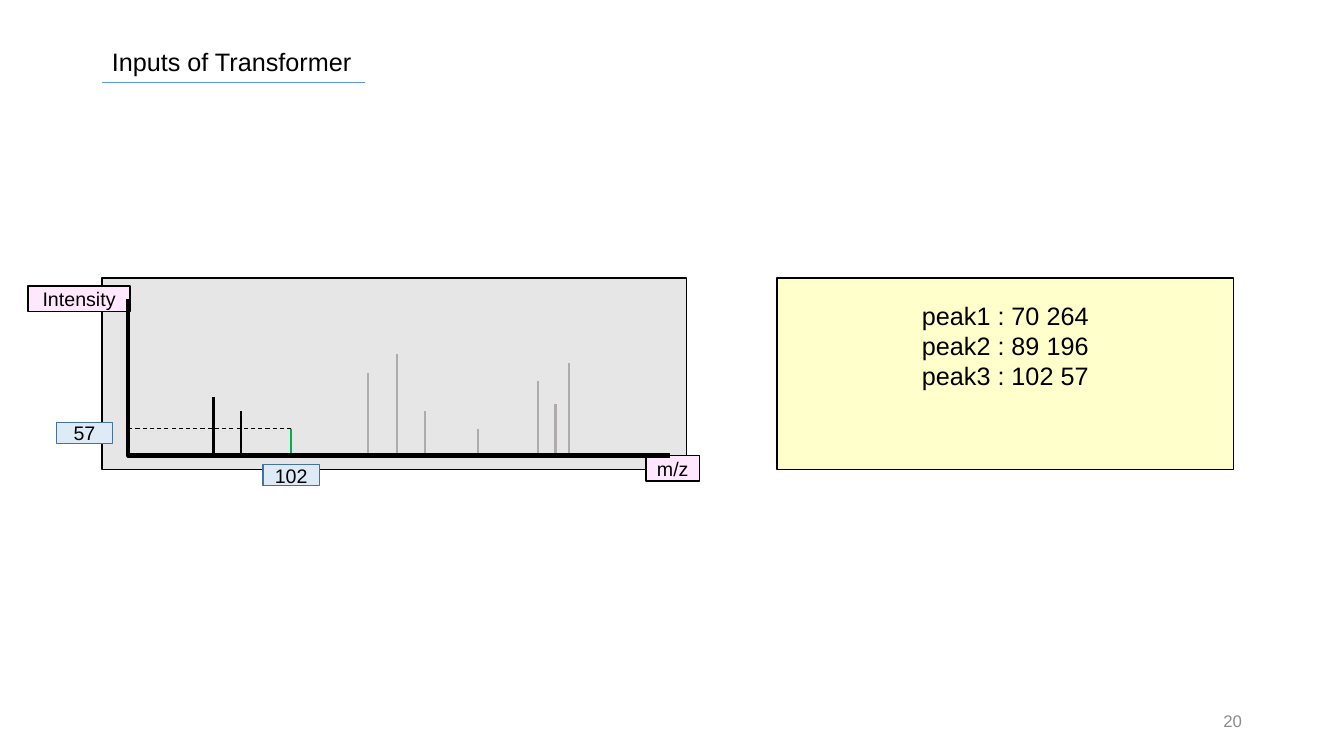
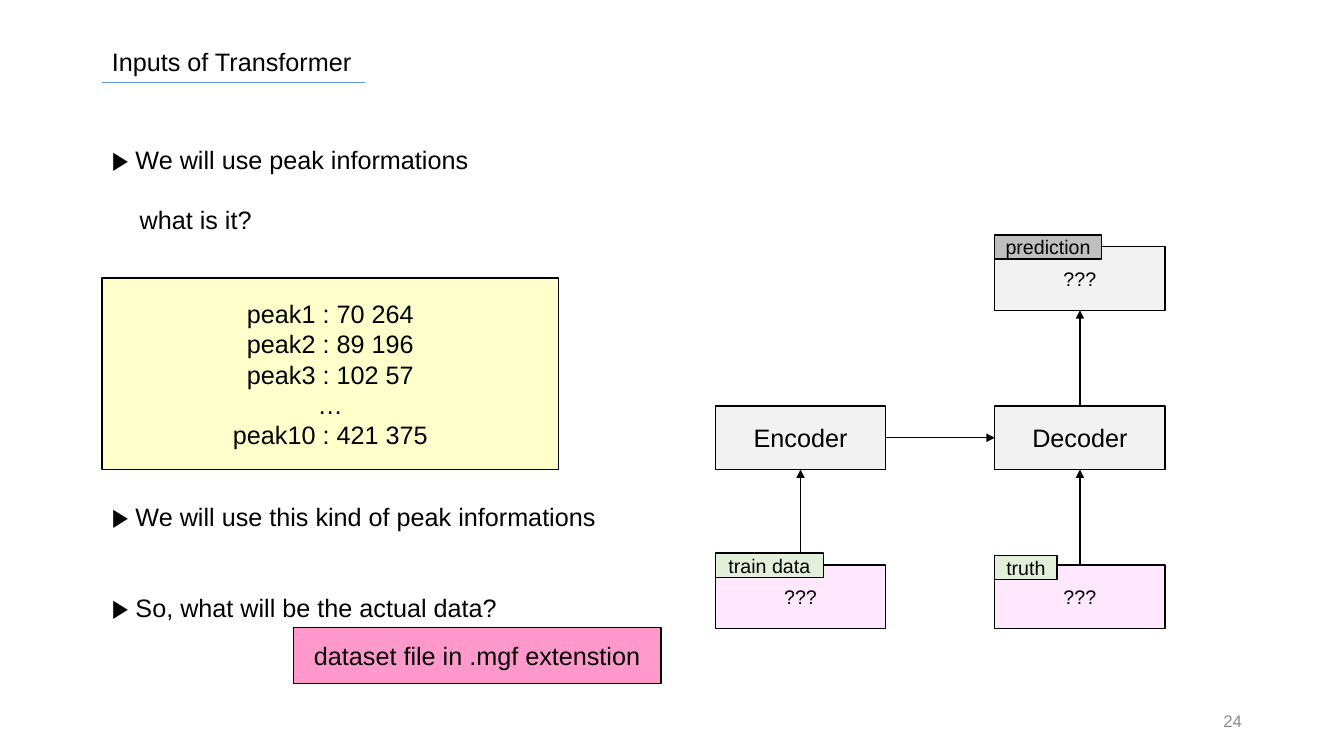
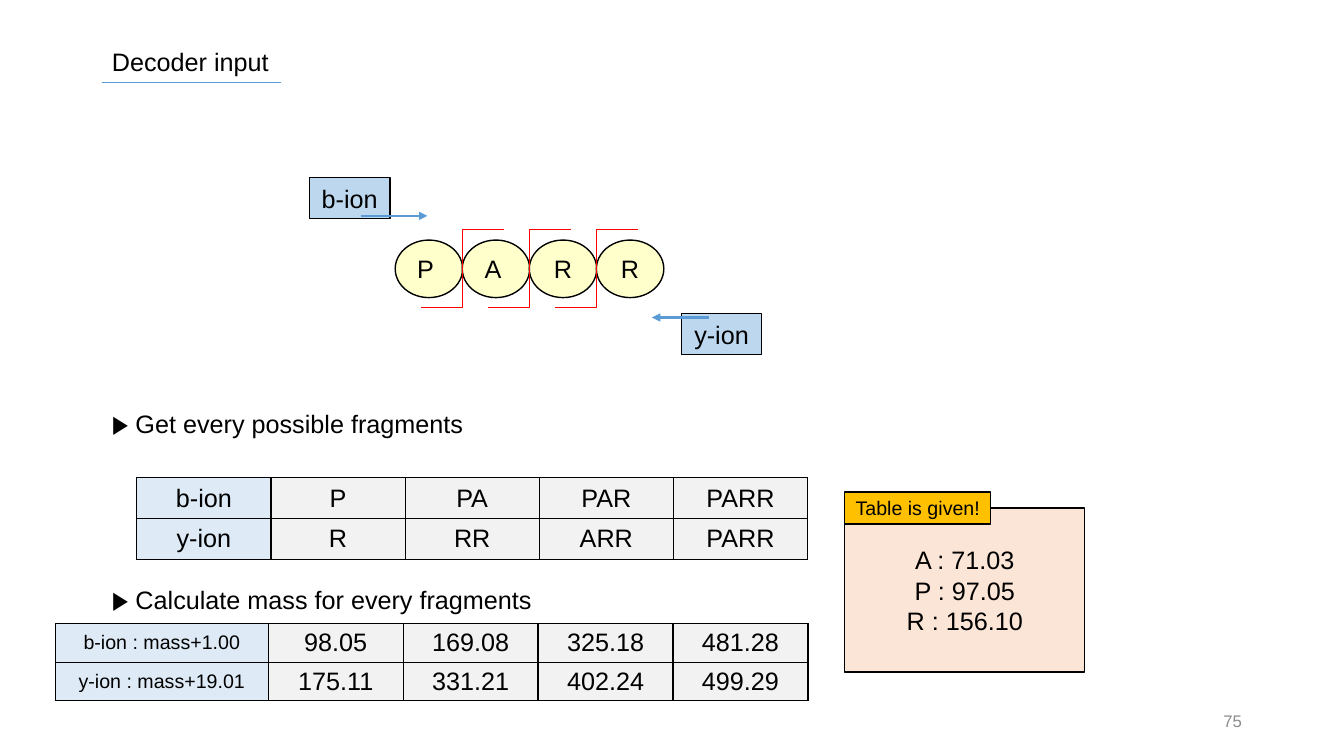
from lxml import etree
from pptx import Presentation
from pptx.dml.color import RGBColor
from pptx.enum import dml, shapes, text
from pptx.oxml import ns
from pptx.util import Cm, Pt

BLACK, GREY, GREEN, RED, BLUE = "000000", "AFABAB", "00B050", "FF0000", "5B9BD5"
PINK, CREAM, PALE, STEEL = "FFE7FD", "FFFFCC", "DEEBF7", "43739E"
SKY, LEAF, SILVER, SNOW = "BDD7EE", "E2F0D9", "BFBFBF", "F2F2F2"
LEFT = 2.57
BIG, MID, SMALL = 18, 14, 12
ROW = 21.4  # height of one line of BIG text, in points

# Slide 1: spectrum peaks as (x, top, colour)
BASE, AXIS = 11.48, 3.23
SPEC = [
    (5.38, 10.01, BLACK), (6.07, 10.36, BLACK), (7.34, 10.8, GREEN),
    (9.27, 9.4, GREY), (10.01, 8.92, GREY), (10.72, 10.36, GREY),
    (12.04, 10.8, GREY), (13.56, 9.6, GREY), (14, 10.19, GREY),
    (14.35, 9.14, GREY),
]
PEAKS = ["peak1 : 70 264", "peak2 : 89 196", "peak3 : 102 57"]
MORE = ["…", "peak10 : 421 375"]

# Slide 2: name -> (column, row, text, size, fill, alpha)
COLS, TOP, STEP = (18.03, 25.07), 6.22, 4.01
NODES = {
    "enc": (0, 1, "Encoder", BIG, SILVER, 20),
    "dec": (1, 1, "Decoder", BIG, SILVER, 20),
    "train": (0, 2, "???", MID, PINK, None),
    "truth": (1, 2, "???", MID, PINK, None),
    "pred": (1, 0, "???", MID, SILVER, 20),
}
# from, side, to, side
FLOWS = [("enc", 3, "dec", 1), ("train", 0, "enc", 2),
         ("truth", 0, "dec", 2), ("dec", 0, "pred", 2)]
# column, top, width, text, fill
TAGS = [(0, 13.94, 2.72, "train data", LEAF), (1, 14, 1.57, "truth", LEAF),
        (1, 5.92, 2.69, "prediction", SILVER)]

# Slide 3
ACIDS = ["P ", "A ", "R", "R"]
FRAGS = [["b-ion", "P", "PA", "PAR", "PARR"],
         ["y-ion", "R", "RR", "ARR", "PARR"]]
MASSES = [["b-ion : mass+1.00", "98.05", "169.08", "325.18", "481.28"],
          ["y-ion : mass+19.01", "175.11", "331.21", "402.24", "499.29"]]
GIVEN = ["A : 71.03", "P : 97.05", "R : 156.10"]


def rgb(code):
    return RGBColor.from_string(code)


def sub(node, tag, **attrs):
    return etree.SubElement(node, ns.qn(tag), attrs)


def write(frame, lines, size=BIG, align="CENTER", color=BLACK):
    frame.word_wrap = True
    for i, line in enumerate(lines):
        para = frame.add_paragraph() if i else frame.paragraphs[0]
        para.text = line
        para.alignment = getattr(text.PP_ALIGN, align)
        para.font.name, para.font.size = "Arial", Pt(size)
        para.font.color.rgb = rgb(color)


def label(slide, x, y, w, lines, **style):
    frame = slide.shapes.add_textbox(Cm(x), Cm(y), Cm(w), Cm(1.02)).text_frame
    write(frame, lines, **style)
    return frame


def note(slide, y, *lines):
    return label(slide, LEFT, y, 15, lines, align="LEFT")


def box(slide, x, y, w, h, lines, fill, size=BIG, edge=BLACK, alpha=None,
        kind="RECTANGLE"):
    shape = slide.shapes.add_shape(getattr(shapes.MSO_SHAPE, kind),
                                   Cm(x), Cm(y), Cm(w), Cm(h))
    shape.shadow.inherit = False
    shape.fill.solid()
    shape.fill.fore_color.rgb = rgb(fill)
    if alpha:
        tint = shape._element.spPr.find(".//" + ns.qn("a:srgbClr"))
        sub(tint, "a:alpha", val=str(alpha * 1000))
    shape.line.color.rgb = rgb(edge)
    shape.line.width = Pt(1)
    frame = shape.text_frame
    frame.margin_left = frame.margin_right = 0
    frame.margin_top = frame.margin_bottom = 0
    frame.vertical_anchor = text.MSO_ANCHOR.MIDDLE
    write(frame, lines, size)
    return shape


def link(slide, x1, y1, x2, y2, color=BLACK, width=1, kind="STRAIGHT",
         dash=False, arrow=False, ends=None):
    """Draw a connector; ends joins it as (shape, side, shape, side)."""
    line = slide.shapes.add_connector(getattr(shapes.MSO_CONNECTOR, kind),
                                      Cm(x1), Cm(y1), Cm(x2), Cm(y2))
    if ends:
        line.begin_connect(*ends[:2])
        line.end_connect(*ends[2:])
    line.line.color.rgb = rgb(color)
    line.line.width = Pt(width)
    if dash:
        line.line.dash_style = dml.MSO_LINE.DASH
    if arrow:
        sub(line.line._get_or_add_ln(), "a:tailEnd", type="triangle")
    sub(line._element.spPr, "a:effectLst")
    return line


def grid(slide, x, y, rows, widths, height, head):
    table = slide.shapes.add_table(
        len(rows), len(widths), Cm(x), Cm(y),
        Cm(sum(widths)), Cm(height * len(rows))).table
    table.first_row = table.horz_banding = False
    for col, width in zip(table.columns, widths):
        col.width = Cm(width)
    for r, row in enumerate(rows):
        table.rows[r].height = Cm(height)
        for c, word in enumerate(row):
            cell = table.cell(r, c)
            cell.margin_top = cell.margin_bottom = Cm(0.05)
            cell.vertical_anchor = text.MSO_ANCHOR.MIDDLE
            for side in "LRTB":
                edge = sub(cell._tc.get_or_add_tcPr(), "a:ln" + side, w="12700")
                sub(sub(edge, "a:solidFill"), "a:srgbClr", val=BLACK)
            cell.fill.solid()
            cell.fill.fore_color.rgb = rgb(SNOW if c else PALE)
            write(cell.text_frame, [word], BIG if c else head)


def start(deck, title, end, number):
    """Add a slide with its title, underline up to end, and page number."""
    slide = deck.slides.add_slide(deck.slide_layouts[6])
    label(slide, LEFT, 1.04, 14.45, [title], align="LEFT")
    link(slide, LEFT, 2.08, end, 2.08, BLUE, 0.5)
    page = label(slide, 23.93, 17.65, 7.62, [str(number)], size=SMALL,
                 align="RIGHT", color="8C8C8C")
    page.vertical_anchor = text.MSO_ANCHOR.MIDDLE
    return slide


def peaks(slide, x, lines):
    return box(slide, x, 7.01, 11.51, 4.83, lines, CREAM)


def spectrum(deck):
    slide = start(deck, "Inputs of Transformer", 9.19, 20)
    box(slide, LEFT, 7.01, 14.73, 4.83, [], "E7E6E6")
    box(slide, 0.71, 7.21, 2.57, 0.64, ["Intensity"], PINK, MID)
    box(slide, 16.28, BASE, 1.35, 0.64, ["m/z"], PINK, MID)
    for x, top, color in SPEC:
        link(slide, x, top, x, BASE, color, 1.5)
    axes = link(slide, AXIS, 7.54, 16.89, BASE, width=3, kind="ELBOW")
    bend = axes._element.spPr.find(".//" + ns.qn("a:avLst"))
    sub(bend, "a:gd", name="adj1", fmla="val 0")
    x, top, _ = SPEC[2]
    link(slide, x, top, AXIS, top, width=0.75, dash=True)
    frame = peaks(slide, 19.58, PEAKS).text_frame
    frame.vertical_anchor = text.MSO_ANCHOR.TOP
    frame.margin_top = Cm(0.55)
    for x, y, word in [(1.42, 10.64, "57"), (6.63, 11.71, "102")]:
        box(slide, x, y, 1.42, 0.53, [word], PALE, MID, STEEL)


def model(deck):
    slide = start(deck, "Inputs of Transformer", 9.19, 24)
    para = note(slide, 3.51, "▶ We will use peak informations",
                "what is it?").paragraphs[1]
    para.space_before = Pt(ROW)
    para._p.get_or_add_pPr().set("marL", str(Cm(0.7)))
    nodes = {}
    for name, (col, row, word, size, fill, alpha) in NODES.items():
        nodes[name] = box(slide, COLS[col], TOP + STEP * row, 4.29, 1.6,
                          [word], fill, size, alpha=alpha)
    for a, out, b, into in FLOWS:
        link(slide, 0, 0, 0, 0, arrow=True,
             ends=(nodes[a], out, nodes[b], into))
    for col, y, w, word, fill in TAGS:
        box(slide, COLS[col], y, w, 0.61, [word], fill, MID)
    peaks(slide, LEFT, PEAKS + MORE)
    note(slide, 12.5, "▶ We will use this kind of peak informations")
    note(slide, 14.81, "▶ So, what will be the actual data?")
    box(slide, 7.39, 15.82, 9.27, 1.4, ["dataset file in .mgf extenstion"],
        "FF99CC")


def decoder(deck):
    slide = start(deck, "Decoder input", 7.09, 75)
    grid(slide, 3.45, 12.04, FRAGS, [3.38] * 5, 1.03, BIG)
    grid(slide, 1.4, 15.72, MASSES, [5.36] + [3.4] * 4, 0.97, MID)
    box(slide, 17.17, 7.9, 2.03, 1.04, ["y-ion"], SKY)
    box(slide, 7.8, 4.47, 2.03, 1.04, ["b-ion"], SKY)
    first, pitch = 9.96, 1.69
    for i, acid in enumerate(ACIDS):
        box(slide, first + pitch * i, 6.05, 1.7, 1.45, [acid], CREAM,
            kind="OVAL")
    for i in range(1, len(ACIDS)):
        cut = first + pitch * i
        link(slide, cut + 1.05, 5.77, cut - 1.05, 7.75, RED, 0.5, "ELBOW")
    for x1, x2, y in [(9.09, 10.77, 5.44), (17.88, 16.43, 8)]:
        link(slide, x1, y, x2, y, BLUE, 1.5, arrow=True)
    note(slide, 10.16, "▶ Get every possible fragments")
    note(slide, 14.61, "▶ Calculate mass for every fragments")
    box(slide, 21.29, 12.8, 6.05, 4.14, GIVEN, "FBE5D6")
    box(slide, 21.29, 12.4, 3.68, 0.81, ["Table is given!"], "FFC000", MID)


def main():
    deck = Presentation()
    deck.slide_width, deck.slide_height = Cm(33.87), Cm(19.05)
    for build in (spectrum, model, decoder):
        build(deck)
    deck.save("out.pptx")


if __name__ == "__main__":
    main()
